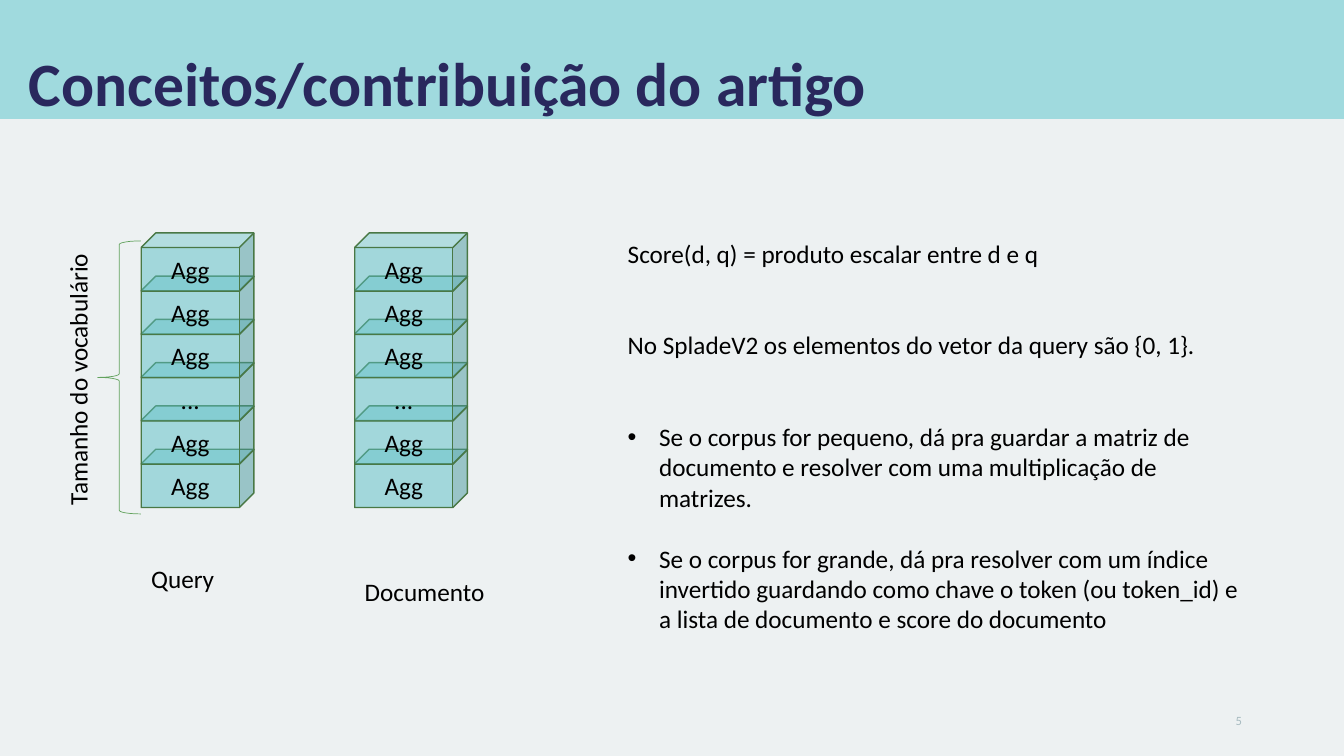
"""Build the slide on query and document vectors and their score."""
import pptx
import pptx.dml.color
import pptx.enum.shapes
import pptx.enum.text
import pptx.oxml.xmlchemy
import pptx.util
from lxml import etree

Cm = pptx.util.Cm
Pt = pptx.util.Pt
RGB = pptx.dml.color.RGBColor
KIND = pptx.enum.shapes.MSO_SHAPE
ALIGN = pptx.enum.text.PP_ALIGN
ANCHOR = pptx.enum.text.MSO_ANCHOR
SPACE = "{http://schemas.openxmlformats.org/drawingml/2006/main}"

PAPER = RGB(0xED, 0xF1, 0xF2)
BAND = RGB(0xA0, 0xDA, 0xDE)
NAVY = RGB(0x29, 0x28, 0x5D)
GRAY = RGB(0xA7, 0xBB, 0xC0)
TEAL = RGB(0x59, 0xBE, 0xC5)
EDGE = RGB(0x49, 0x78, 0x45)
GREEN = RGB(0x62, 0xA2, 0x5D)
BLACK = RGB(0, 0, 0)

TITLE = "Conceitos/contribuição do artigo"
CELLS = ["Agg", "Agg", "Agg", "...", "Agg", "Agg"]
STACKS = [
    ("Query", 3.56, 14.07, 2.16),
    ("Documento", 8.94, 14.4, 3.66),
]
SIDE = "Tamanho do vocabulário"
NOTES = [
    ("Score(d, q) = produto escalar entre d e q", False, 44),
    ("No SpladeV2 os elementos do vetor da query são {0, 1}.", False, 44),
    ("Se o corpus for pequeno, dá pra guardar a matriz de documento e "
     "resolver com uma multiplicação de matrizes.", True, 22),
    ("Se o corpus for grande, dá pra resolver com um índice invertido "
     "guardando como chave o token (ou token_id) e a lista de documento "
     "e score do documento", True, 0),
]
TOP, STEP = 5.87, 1.09
WIDE, HIGH = 2.84, 1.47

deck = pptx.Presentation()
deck.slide_width, deck.slide_height = Cm(33.87), Cm(19.05)
slide = deck.slides.add_slide(deck.slide_layouts[6])
slide.background.fill.solid()
slide.background.fill.fore_color.rgb = PAPER


def write(text, par, size=18, color=BLACK, bold=False, align=ALIGN.LEFT,
          after=0, bullet=False):
    run = par.add_run()
    run.text = text
    run.font.name = "Calibri"
    run.font.size = Pt(size)
    run.font.bold = bold
    run.font.color.rgb = color
    par.alignment = align
    par.space_after = Pt(after)
    if bullet:
        props = par._p.get_or_add_pPr()
        props.set("marL", str(Cm(0.79)))
        props.set("indent", str(Cm(-0.79)))
        etree.SubElement(props, SPACE + "buFont", typeface="Arial")
        etree.SubElement(props, SPACE + "buChar", char="•")


def frame(left, top, width, height, wrap=True, anchor=ANCHOR.TOP, turn=0):
    box = slide.shapes.add_textbox(Cm(left), Cm(top), Cm(width), Cm(height))
    box.rotation = turn
    box.text_frame.word_wrap = wrap
    box.text_frame.vertical_anchor = anchor
    return box.text_frame


def draw(kind, left, top, width, height, fill=None, line=None, weight=1):
    item = slide.shapes.add_shape(
        kind, Cm(left), Cm(top), Cm(width), Cm(height))
    item.shadow.inherit = False
    if fill is None:
        item.fill.background()
    else:
        item.fill.solid()
        item.fill.fore_color.rgb = fill
    if line is None:
        item.line.fill.background()
    else:
        item.line.color.rgb = line
        item.line.width = Pt(weight)
    return item


draw(KIND.RECTANGLE, 0, 0, 33.87, 3, fill=BAND)
head = frame(0.48, 1.12, 31.47, 2.03, anchor=ANCHOR.BOTTOM).paragraphs[0]
head.line_spacing = 0.9
write(TITLE, head, size=44, color=NAVY, bold=True)
page = frame(23.93, 17.65, 7.62, 1.02, anchor=ANCHOR.MIDDLE)
write("5", page.paragraphs[0], size=9, color=GRAY, align=ALIGN.RIGHT)

for name, left, low, width in STACKS:
    for row, word in reversed(list(enumerate(CELLS))):
        cube = draw(KIND.CUBE, left, TOP + row * STEP, WIDE, HIGH,
                    fill=TEAL, line=EDGE)
        tint = cube.fill._xPr.find(SPACE + "solidFill")[0]
        etree.SubElement(tint, SPACE + "alpha", val="50000")
        cube.text_frame.vertical_anchor = ANCHOR.MIDDLE
        write(word, cube.text_frame.paragraphs[0], align=ALIGN.CENTER)
    write(name, frame(left, low, width, 1.02, wrap=False).paragraphs[0])

brace = draw(KIND.RIGHT_BRACE, 2.46, 6.07, 1.09, 6.88, line=GREEN, weight=0.5)
brace.rotation = 180
write(SIDE, frame(-1.75, 8.76, 7.42, 1.02, turn=270).paragraphs[0])

body = frame(15.57, 5.87, 16.21, 10.26)
for spot, (text, bullet, after) in enumerate(NOTES):
    par = body.add_paragraph() if spot else body.paragraphs[0]
    write(text, par, bullet=bullet, after=after)

deck.save("out.pptx")
